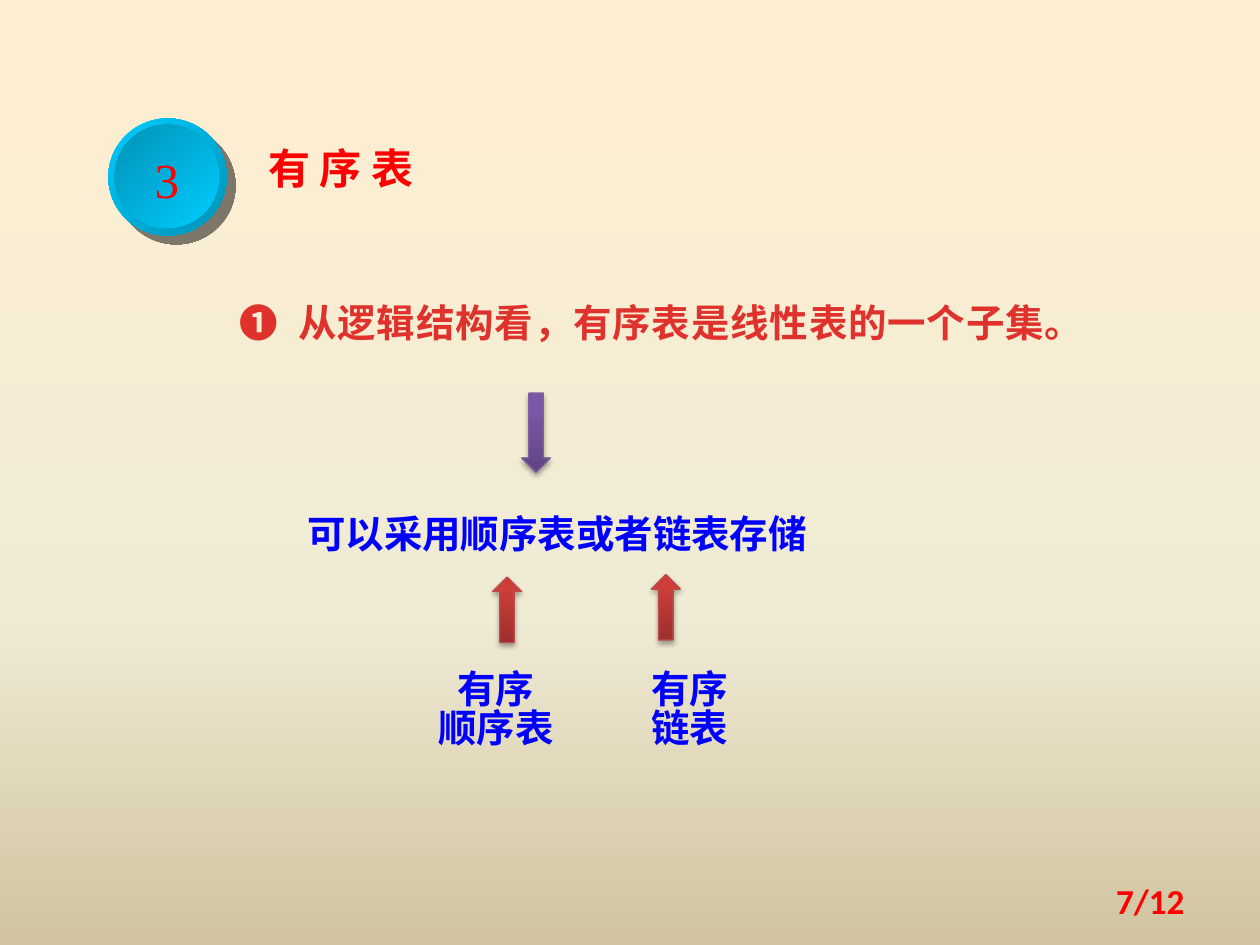
from lxml.etree import SubElement
from pptx import Presentation
from pptx.dml.color import RGBColor
from pptx.enum.shapes import MSO_SHAPE
from pptx.enum.text import MSO_ANCHOR, MSO_AUTO_SIZE, PP_ALIGN
from pptx.oxml.ns import qn
from pptx.util import Inches, Pt

# Content
TITLE = "有 序 表"
NUMBER = "3"
PAGE_NUMBER = "7/12"
STATEMENT = "❶\t从逻辑结构看，有序表是线性表的一个子集。"
STORAGE = "可以采用顺序表或者链表存储"
KINDS = [  # lines, text left and width, arrow left and top
    (["有序", "顺序表"], 3.28, 1.31, 3.91, 4.58),
    (["有序", "链表"], 4.77, 1.41, 5.17, 4.56),
]

# Style
CHINESE, LATIN, NUMERAL = "Noto Sans CJK SC", "Calibri", "Times New Roman"
RED, CRIMSON, BLUE = "FF0000", "E0322D", "0000FF"
SKY, TEAL = "00CCFF", "0092B6"
BACKGROUND = [(0, "FFEFD1"), (65, "F0EBD5"), (100, "D1C39F")]
PURPLE_ARROW = [(0, "5F4480"), (80, "7B58A6"), (100, "7C57A8")]
RED_ARROW = [(0, "9C2F2D"), (80, "CB3E3A"), (100, "CE3B37")]
ARROW_WIDTH = 0.23


def color(hex_string):
    return RGBColor.from_string(hex_string)


def paint_gradient(fill, holder, stops, angle):
    """Fill with (percent, colour) stops; the angle runs clockwise."""
    fill.gradient()
    fill.gradient_angle = 360 - angle
    stop_list = next(holder.iter(qn("a:gsLst")))
    for old_stop in list(stop_list):
        stop_list.remove(old_stop)
    for percent, shade in stops:
        stop = SubElement(stop_list, qn("a:gs"), pos=str(percent * 1000))
        SubElement(stop, qn("a:srgbClr"), val=shade)


def add_gradient_shape(page, kind, place, stops, angle, line=None, shadow=None):
    shape = page.shapes.add_shape(kind, *map(Inches, place))
    paint_gradient(shape.fill, shape._element, stops, angle)
    if line:
        shape.line.color.rgb = color(line)
        shape.line.width = Pt(0.75)
    else:
        shape.line.fill.background()
    shape.shadow.inherit = False
    if shadow:
        shade, opacity, blur, distance, direction = shadow
        effects = shape._element.spPr.find(qn("a:effectLst"))
        outer = SubElement(effects, qn("a:outerShdw"), blurRad=str(Pt(blur)),
                           dist=str(Pt(distance)), dir=str(direction * 60000),
                           algn="ctr", rotWithShape="0")
        tint = SubElement(outer, qn("a:srgbClr"), val=shade)
        SubElement(tint, qn("a:alpha"), val=str(opacity * 1000))
    return shape


def write(box, lines, size, shade, font=CHINESE, bold=True, align=PP_ALIGN.LEFT,
          spacing=1.1, anchor=MSO_ANCHOR.TOP, wrap=True, tab=None, tracking=None):
    frame = box.text_frame
    frame.word_wrap = wrap
    frame.vertical_anchor = anchor
    frame.text = "\n".join(lines)
    for paragraph in frame.paragraphs:
        paragraph.alignment = align
        paragraph.line_spacing = spacing
        paragraph.space_before = Pt(0)
        properties = paragraph._p.get_or_add_pPr()
        if tab:
            tabs = SubElement(properties, qn("a:tabLst"))
            SubElement(tabs, qn("a:tab"), pos=str(Inches(tab)), algn="l")
        paragraph.font.size = Pt(size)
        paragraph.font.bold = bold
        paragraph.font.color.rgb = color(shade)
        paragraph.font.name = font
        defaults = properties.find(qn("a:defRPr"))
        SubElement(defaults, qn("a:ea"), typeface=font)
        if tracking:
            defaults.set("spc", str(int(tracking * 100)))


def add_text(page, place, lines, size, shade, **style):
    box = page.shapes.add_textbox(*map(Inches, place))
    write(box, lines, size, shade, **style)


def add_arrow(page, kind, left, top, height, stops, line):
    add_gradient_shape(page, kind, (left, top, ARROW_WIDTH, height), stops, 270,
                       line, ("000000", 35, 3.1, 1.8, 90))


def main():
    deck = Presentation()
    deck.slide_width, deck.slide_height = Inches(10), Inches(7.5)
    page = deck.slides.add_slide(deck.slide_layouts[5])
    paint_gradient(page.background.fill, page._element, BACKGROUND, 90)

    # Numbered button
    add_gradient_shape(page, MSO_SHAPE.OVAL, (0.86, 0.94, 0.94, 0.93),
                       [(0, SKY), (100, TEAL)], 45,
                       shadow=("020202", 50, 0, 7.1, 45))
    button = add_gradient_shape(page, MSO_SHAPE.OVAL, (0.91, 0.99, 0.83, 0.82),
                                [(0, TEAL), (100, SKY)], 45)
    write(button, [NUMBER], 28, RED, font=NUMERAL, bold=False,
          align=PP_ALIGN.CENTER, anchor=MSO_ANCHOR.MIDDLE, wrap=False)

    # Title
    title = page.shapes.title
    title.left, title.top, title.width, title.height = map(
        Inches, (2.03, 1.04, 2.42, 0.55))
    title.text_frame.auto_size = MSO_AUTO_SIZE.NONE
    write(title, [TITLE], 24, RED)

    # Statement and what follows from it
    add_text(page, (1.8, 2.29, 6.88, 0.51), [STATEMENT], 22, CRIMSON,
             tab=0.47, tracking=0.5)
    add_arrow(page, MSO_SHAPE.DOWN_ARROW, 4.14, 3.12, 0.63, PURPLE_ARROW, "7D60A0")
    add_text(page, (2.34, 3.96, 4.45, 0.51), [STORAGE], 22, BLUE)

    # The two kinds of storage
    for lines, left, width, arrow_left, arrow_top in KINDS:
        add_arrow(page, MSO_SHAPE.UP_ARROW, arrow_left, arrow_top, 0.52,
                  RED_ARROW, "BF4C48")
        add_text(page, (left, 5.29, width, 0.72), lines, 22, BLUE,
                 align=PP_ALIGN.CENTER, spacing=Pt(22))

    # Page number
    add_text(page, (7.17, 6.95, 2.33, 0.4), [PAGE_NUMBER], 20, RED, font=LATIN,
             align=PP_ALIGN.RIGHT, spacing=1.0, anchor=MSO_ANCHOR.MIDDLE)

    deck.save("out.pptx")


if __name__ == "__main__":
    main()
